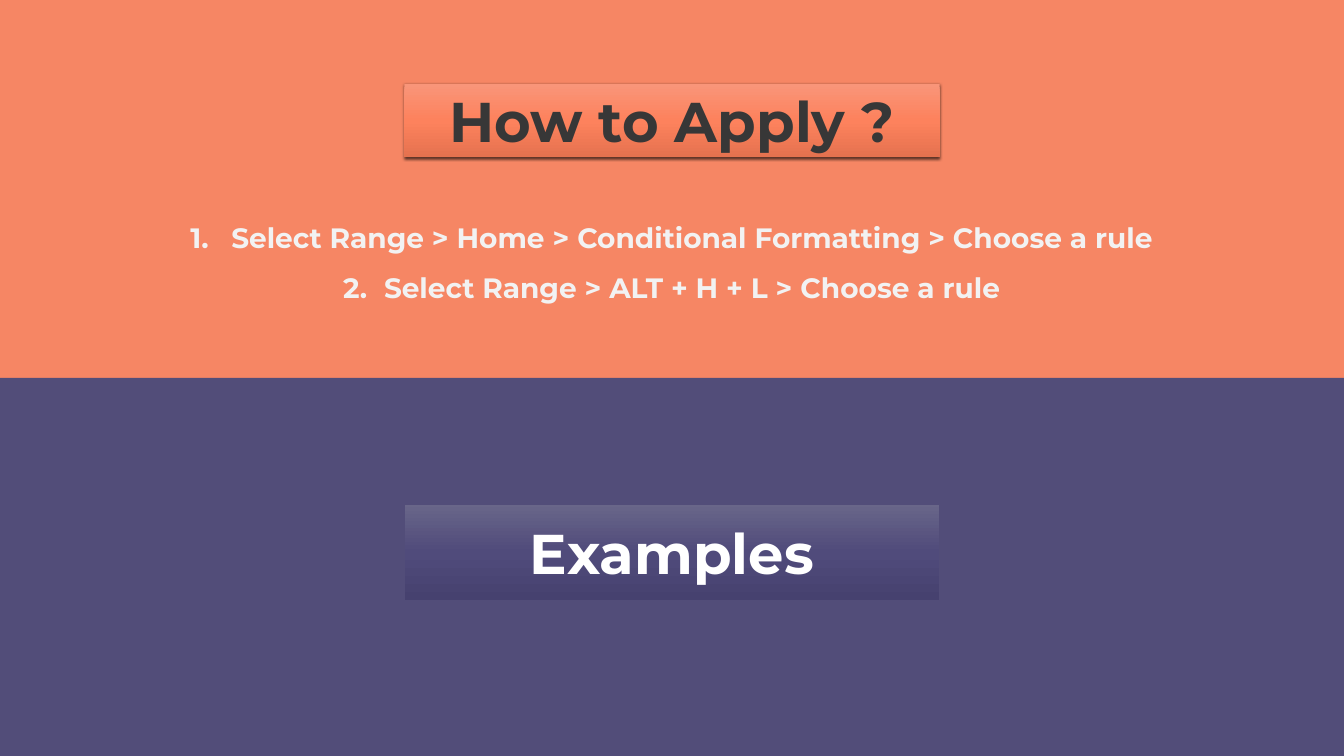
from copy import deepcopy
from dataclasses import dataclass

from pptx import Presentation
from pptx.dml.color import RGBColor
from pptx.enum.shapes import MSO_SHAPE as Shape
from pptx.enum.text import MSO_ANCHOR as Anchor, MSO_AUTO_SIZE as AutoSize, PP_ALIGN as Align
from pptx.oxml import parse_xml
from pptx.oxml.ns import nsdecls
from pptx.util import Cm, Pt


@dataclass(frozen=True)
class Theme:
    font: str = "Montserrat"
    heading_size: int = 80
    step_size: int = 40
    coral: str = "F68664"
    indigo: str = "524D79"
    coral_gradient: tuple = ("F99579", "FD825D", "E5724F")
    indigo_gradient: tuple = ("696689", "504B7B", "46416F")
    dark_text: str = "373737"
    step_text: str = "F2F2F2"
    light_text: str = "FFFFFF"


THEME = Theme()
PAGE_WIDTH, PAGE_HEIGHT = 67.72, 38.1
BANNER_WIDTH = 26.97
STEPS = (
    "Select Range > Home > Conditional Formatting > Choose a rule",
    "Select Range > ALT + H + L > Choose a rule",
)


def rgb(code):
    return RGBColor.from_string(code)


def style_para(para, size, color):
    para.alignment = Align.CENTER
    for span in para.runs:
        span.font.name = THEME.font
        span.font.size = Pt(size)
        span.font.bold = True
        span.font.color.rgb = rgb(color)


def add_rectangle(page, left, top, width, height):
    box = page.shapes.add_shape(Shape.RECTANGLE, Cm(left), Cm(top), Cm(width), Cm(height))
    box.shadow.inherit = False
    box.line.fill.background()
    return box


def add_half(page, top, color):
    half = add_rectangle(page, 0, top, PAGE_WIDTH, PAGE_HEIGHT / 2)
    half.fill.solid()
    half.fill.fore_color.rgb = rgb(color)


def fill_gradient(box, colors):
    """Fill from top to bottom with evenly spaced colour stops."""
    box.fill.gradient()
    box.fill.gradient_angle = 270
    stop_list = box.fill.gradient_stops[0]._gs.getparent()
    while len(stop_list) < len(colors):
        stop_list.append(deepcopy(stop_list[0]))
    for index, (stop, color) in enumerate(zip(box.fill.gradient_stops, colors)):
        stop.position = index / (len(colors) - 1)
        stop.color.rgb = rgb(color)


def add_shadow(box):
    effects = box._element.spPr.find("{*}effectLst")
    effects.append(parse_xml(
        f'<a:outerShdw {nsdecls("a")} blurRad="{Pt(4.5)}" dist="{Pt(1.5)}" '
        'dir="5400000" algn="ctr" rotWithShape="0">'
        '<a:srgbClr val="000000"><a:alpha val="63000"/></a:srgbClr></a:outerShdw>'
    ))


def add_banner(page, text, top, height, colors, text_color, anchor):
    left = (PAGE_WIDTH - BANNER_WIDTH) / 2
    banner = add_rectangle(page, left, top, BANNER_WIDTH, height)
    fill_gradient(banner, colors)
    frame = banner.text_frame
    frame.text = text
    frame.word_wrap = True
    frame.vertical_anchor = anchor
    style_para(frame.paragraphs[0], THEME.heading_size, text_color)
    return banner


def number_para(para):
    """Give the paragraph an automatic number with a hanging indent."""
    properties = para._p.get_or_add_pPr()
    properties.set("marL", str(Cm(2.06)))
    properties.set("indent", str(-Cm(2.06)))
    properties.append(parse_xml(f'<a:buFont {nsdecls("a")} typeface="+mj-lt"/>'))
    properties.append(parse_xml(f'<a:buAutoNum {nsdecls("a")} type="arabicPeriod"/>'))


def add_steps(page, steps):
    box = page.shapes.add_textbox(Cm(5.28), Cm(10.13), Cm(57.12), Cm(5.11))
    frame = box.text_frame
    frame.word_wrap = True
    frame.auto_size = AutoSize.SHAPE_TO_FIT_TEXT
    frame.text = "\n".join(steps)
    for para in frame.paragraphs:
        para.line_spacing = 1.5
        style_para(para, THEME.step_size, THEME.step_text)
        number_para(para)


def main():
    deck = Presentation()
    deck.slide_width, deck.slide_height = Cm(PAGE_WIDTH), Cm(PAGE_HEIGHT)
    page = deck.slides.add_slide(deck.slide_layouts[6])

    add_half(page, 0, THEME.coral)
    add_half(page, PAGE_HEIGHT / 2, THEME.indigo)

    title = add_banner(page, "How to Apply ?", 4.24, 3.68, THEME.coral_gradient,
                       THEME.dark_text, Anchor.TOP)
    title.text_frame.auto_size = AutoSize.SHAPE_TO_FIT_TEXT
    add_shadow(title)

    add_steps(page, STEPS)

    examples = add_banner(page, "Examples", 25.4, 4.85, THEME.indigo_gradient,
                          THEME.light_text, Anchor.MIDDLE)
    examples.line.color.rgb = rgb(THEME.indigo)
    examples.line.width = Pt(0.5)

    deck.save("out.pptx")


if __name__ == "__main__":
    main()
